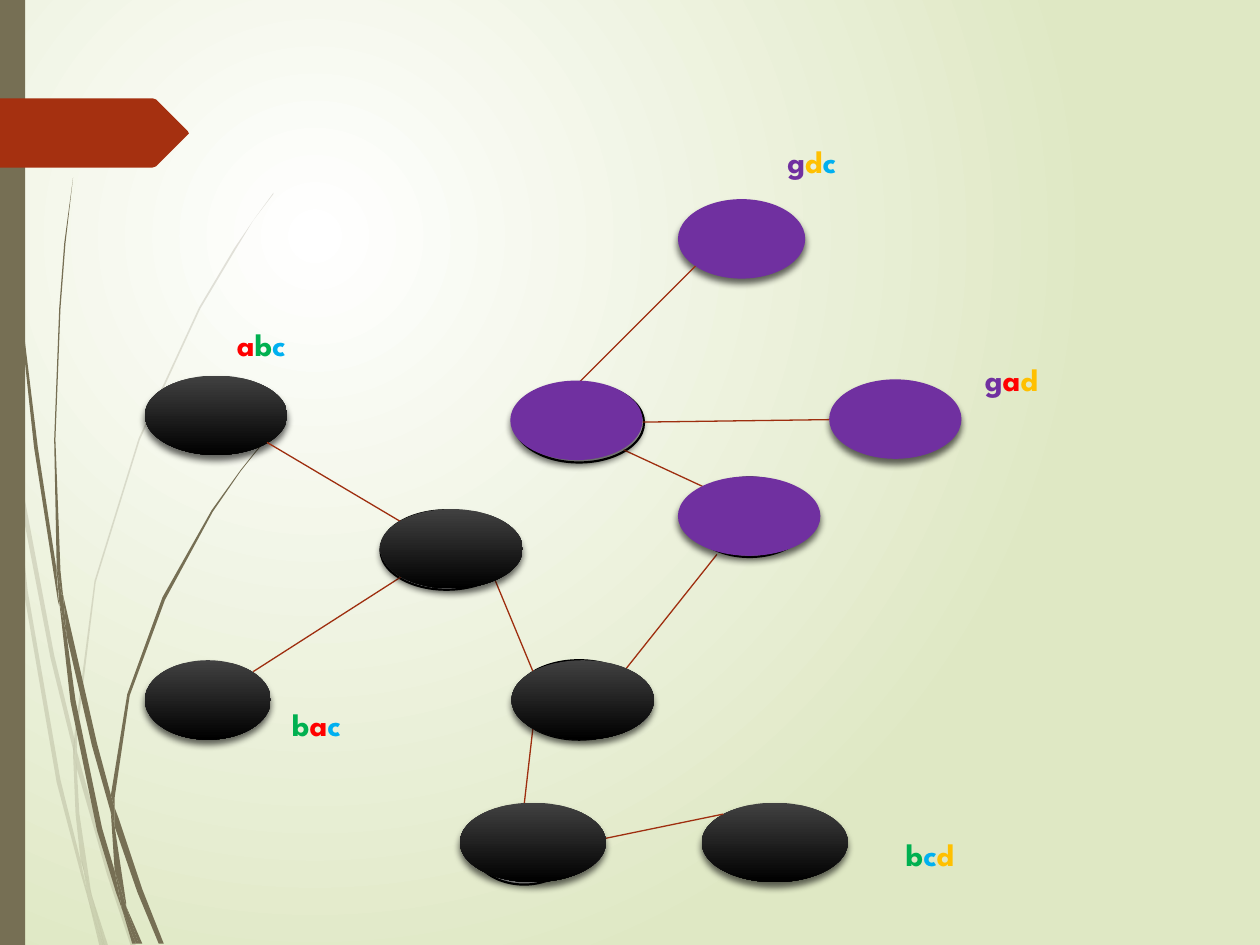
import pptx
import pptx.util
import pptx.dml.color
import pptx.enum.shapes
import pptx.enum.text
from lxml import etree
from pptx.oxml.ns import qn

Pt = pptx.util.Pt
SHAPE = pptx.enum.shapes.MSO_SHAPE
COLORS = {
    "white": "FFFFFF", "sage": "DFE8C4", "olive": "766F54", "rust": "A53010",
    "edge": "9E2E0F", "black": "000000", "charcoal": "414141", "purple": "7030A0",
}
LETTERS = {"a": "FF0000", "b": "00B050", "c": "00B0F0", "d": "FFC000", "g": "7030A0"}
UNIT = 0.72  # outline grid, in points
NODE_H = 45.4

# Outlines of the wisps, in grid units
PALE_WISPS = [
    [(8, 350), (6, 322), (0, 282), (0, 299), (7, 344)],
    [(40, 522), (59, 599), (59, 586), (43, 520), (10, 345), (12, 376)],
    [(64, 607), (61, 596), (61, 610), (85, 694), (104, 751), (108, 751), (88, 692)],
    [(83, 751), (86, 751), (73, 711)],
    [(64, 683), (48, 619), (22, 469), (12, 376), (8, 350), (19, 470), (45, 621),
     (64, 693), (70, 714), (69, 707)],
    [(58, 599), (60, 646), (64, 683), (67, 692), (73, 711), (72, 706), (63, 646),
     (61, 610), (61, 608)],
    [(61, 584), (76, 462), (111, 349), (159, 245), (187, 198), (201, 175), (217, 154),
     (217, 153), (201, 175), (186, 197), (158, 244), (110, 348), (75, 461), (59, 584),
     (59, 586), (61, 596)],
    [(70, 714), (79, 751), (82, 751)],
    [(61, 608), (61, 610), (61, 596), (59, 586), (58, 599)],
    [(67, 692), (65, 683), (69, 707), (70, 714), (82, 751), (83, 751), (73, 711)],
]
DARK_WISPS = [
    [(5, 110), (14, 233), (27, 355), (46, 477), (47, 481), (45, 457), (45, 453),
     (30, 355), (15, 232), (6, 109), (4, 48), (3, 0), (2, 0), (3, 48)],
    [(73, 592), (88, 645), (88, 633), (88, 631), (77, 590), (50, 472), (53, 505)],
    [(94, 649), (91, 641), (91, 656), (109, 708), (126, 749), (130, 749), (113, 706)],
    [(91, 691), (81, 657), (60, 556), (53, 505), (47, 477), (56, 557), (77, 659),
     (92, 708), (97, 722), (96, 717)],
    [(50, 472), (48, 453), (44, 349), (48, 245), (52, 193), (58, 141), (57.5, 141),
     (51, 193), (47, 245), (43, 349), (45, 449), (49, 472)],
    [(110, 749), (113, 749), (100, 719)],
    [(47, 477), (53, 505), (50, 472), (49, 472), (45, 449), (45, 453)],
    [(91, 633), (103, 552), (131, 476), (169, 406), (191, 374), (203, 359), (216, 344),
     (215, 344), (203, 358), (191, 373), (168, 405), (129, 474), (101, 551), (88, 631),
     (91, 641)],
    [(97, 722), (105, 749), (108, 749)],
    [(88, 645), (91, 691), (96, 706), (100, 719), (100, 716), (91, 656), (90, 651)],
    [(88, 645), (90, 651), (91, 656), (91, 641), (88, 631), (88, 633)],
    [(96, 706), (91, 691), (96, 717), (97, 722), (108, 749), (110, 749), (100, 719)],
]
BANNER = [(0, 78), (121, 78), (124, 79), (149, 104), (149.5, 105.5), (149, 107),
          (124, 132), (121, 133), (0, 133)]

# Graph parts, relative to the graph's box: nodes (x, y, w), edges (x1, y1, x2, y2)
UNDERLAYS = [(134.6, 177.8, 75.6), (211, 105.1, 74.2), (311, 159.1, 69.1),
             (211, 263.5, 74.2), (186.5, 346.3, 60.5)]
DARK_LEAVES = [(0, 100.8, 81.4), (0, 263.5, 72), (318.2, 344.9, 83.5)]
PURPLE_LEAVES = [(304.6, 0, 72.7), (391, 103, 75.6)]
EDGES = [
    (69.8, 139, 146.2, 184.3), (61.9, 270, 146.2, 216), (199.4, 216, 221.8, 270),
    (273.6, 270, 326.9, 203), (273.6, 143.3, 321.8, 165.6), (284.4, 127.4, 391, 126),
    (247.7, 105.1, 314.6, 38.2), (221.8, 301.7, 216.7, 346.3), (247, 368.6, 330.5, 351.4),
]
DARK_HUBS = [(134.6, 177.1, 81.4), (209.5, 263.5, 81.4), (180, 344.9, 83.5)]
PURPLE_HUBS = [(304.6, 158.4, 81.4), (208.8, 103.7, 75.6)]
LABELS = [
    ("abc", 45.4, 68.4, 63.4, 51.1), ("bac", 77, 285.8, 74.9, 28.8),
    ("gdc", 360, -36, 111.6, 51.1), ("gad", 473, 88.6, 69.8, 51.1),
    ("bcd", 427.7, 360, 69.8, 51.1),
]


def rgb(value):
    return pptx.dml.color.RGBColor.from_string(value)


def solid(sp, color, alpha=None):
    sp.shadow.inherit = False
    sp.fill.solid()
    sp.fill.fore_color.rgb = rgb(COLORS[color])
    sp.line.fill.background()
    if alpha:
        clr = sp.fill._xPr.find(".//" + qn("a:srgbClr"))
        etree.SubElement(clr, qn("a:alpha"), val=str(alpha * 1000))


def gradient(fill, first, last):
    fill.gradient()
    for stop, color in zip(fill.gradient_stops, (first, last)):
        stop.color.rgb = rgb(COLORS[color])
    fill.gradient_stops[0].position = 0
    fill.gradient_stops[1].position = 1


def drop_shadow(sp):
    effects = sp._element.spPr.find(qn("a:effectLst"))
    shadow = etree.SubElement(effects, qn("a:outerShdw"), blurRad=str(Pt(4)),
                              dist=str(Pt(3)), dir="5400000", rotWithShape="0")
    clr = etree.SubElement(shadow, qn("a:srgbClr"), val=COLORS["black"])
    etree.SubElement(clr, qn("a:alpha"), val="60000")


def add_run(p, text, size=18, font="League Spartan", color="000000", bold=True):
    r = p.add_run()
    r.text = text
    r.font.size, r.font.name, r.font.bold = Pt(size), font, bold
    r.font.color.rgb = rgb(color)


def add_outline(s, x, y, points, color, alpha=None):
    builder = s.shapes.build_freeform(*points[0], scale=Pt(UNIT))
    builder.add_line_segments(points[1:], close=True)
    solid(builder.convert_to_shape(Pt(x), Pt(y)), color, alpha)


def add_node(s, x, y, w, style):
    sp = s.shapes.add_shape(SHAPE.OVAL, Pt(x), Pt(y), Pt(w), Pt(NODE_H))
    solid(sp, "purple" if style == "purple" else "white")
    if style == "outline":
        sp.line.color.rgb = rgb(COLORS["black"])
        sp.line.width = Pt(1.25)
        return
    if style == "dark":
        gradient(sp.fill, "charcoal", "black")
        sp.fill.gradient_angle = 270
    drop_shadow(sp)


def add_backdrop(s):
    fill = s.background.fill
    gradient(fill, "white", "sage")
    lin = s._element.find(".//" + qn("p:bgPr")).find(".//" + qn("a:lin"))
    circle = etree.Element(qn("a:path"), path="circle")
    etree.SubElement(circle, qn("a:fillToRect"), l="50000", t="50000", r="100000", b="100000")
    lin.getparent().replace(lin, circle)


def add_side_decor(s, x, y, w, h):
    for points in PALE_WISPS:
        add_outline(s, x, y, points, "olive", 20)
    for points in DARK_WISPS:
        add_outline(s, x, y, points, "olive")
    solid(s.shapes.add_shape(SHAPE.RECTANGLE, Pt(x), Pt(y), Pt(w), Pt(h)), "olive")
    add_outline(s, x, y, BANNER, "rust")


def add_graph(s, x, y):
    def add_nodes(nodes, style):
        for dx, dy, w in nodes:
            add_node(s, x + dx, y + dy, w, style)

    # Underlays and leaves
    add_nodes(UNDERLAYS, "outline")
    add_nodes(DARK_LEAVES, "dark")
    add_nodes(PURPLE_LEAVES, "purple")
    # Edges
    for x1, y1, x2, y2 in EDGES:
        line = s.shapes.add_connector(pptx.enum.shapes.MSO_CONNECTOR.STRAIGHT,
                                      Pt(x + x1), Pt(y + y1), Pt(x + x2), Pt(y + y2))
        line.line.color.rgb = rgb(COLORS["edge"])
        line.line.width = Pt(0.75)
        etree.SubElement(line._element.spPr, qn("a:effectLst"))
    # Leaf labels, one colour per letter
    for text, dx, dy, w, h in LABELS:
        tf = s.shapes.add_textbox(Pt(x + dx), Pt(y + dy), Pt(w), Pt(h)).text_frame
        tf.word_wrap = True
        tf.auto_size = pptx.enum.text.MSO_AUTO_SIZE.SHAPE_TO_FIT_TEXT
        for letter in text:
            add_run(tf.paragraphs[0], letter, color=LETTERS[letter])
    # Hubs
    add_nodes(DARK_HUBS, "dark")
    add_nodes(PURPLE_HUBS, "purple")


def main():
    prs = pptx.Presentation()
    prs.slide_width, prs.slide_height = Pt(720), Pt(540)
    s = prs.slides.add_slide(prs.slide_layouts[6])
    add_backdrop(s)
    add_side_decor(s, 0, 0, 14.4, 540)
    add_graph(s, 82.8, 113.8)
    prs.save("out.pptx")


if __name__ == "__main__":
    main()
